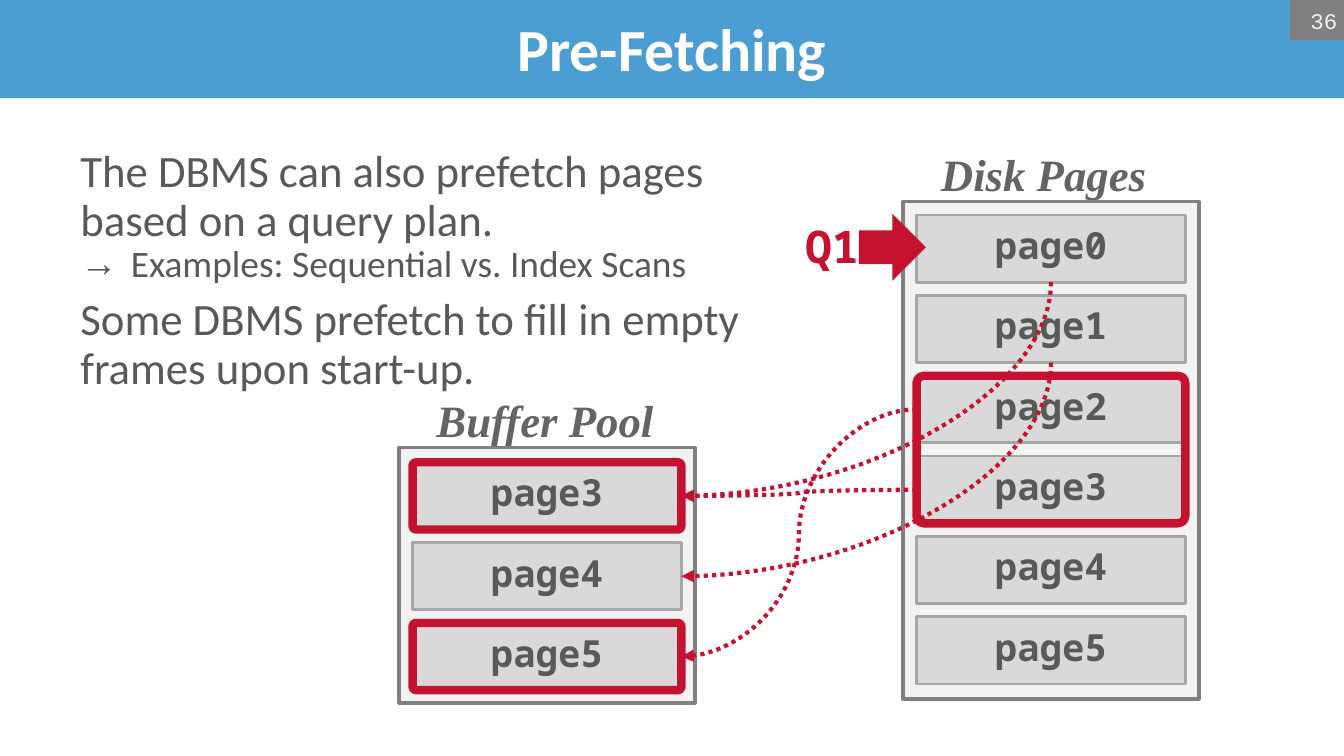
from dataclasses import dataclass

from lxml import etree
from pptx import Presentation
from pptx.dml.color import RGBColor
from pptx.enum.dml import MSO_LINE
from pptx.enum.shapes import MSO_CONNECTOR, MSO_SHAPE
from pptx.enum.text import MSO_ANCHOR, PP_ALIGN
from pptx.oxml.ns import qn
from pptx.util import Emu, Inches, Pt

RECTANGLE, ROUNDED = MSO_SHAPE.RECTANGLE, MSO_SHAPE.ROUNDED_RECTANGLE
RIGHT_ARROW, CURVE = MSO_SHAPE.RIGHT_ARROW, MSO_CONNECTOR.CURVE
LEFT, CENTER, RIGHT = PP_ALIGN.LEFT, PP_ALIGN.CENTER, PP_ALIGN.RIGHT
TOP, MIDDLE = MSO_ANCHOR.TOP, MSO_ANCHOR.MIDDLE
DOTTED = MSO_LINE.ROUND_DOT

COLORS = {
    "banner": "4C9DD2", "white": "FFFFFF", "text": "595959", "label": "646464",
    "frame": "F2F2F2", "frame_line": "808080", "page": "D9D9D9",
    "page_line": "A6A6A6", "red": "C41230",
}
SLIDE_WIDTH = Inches(10)
SLIDE_HEIGHT = Emu(SLIDE_WIDTH * 9 // 16)
CELL = SLIDE_WIDTH / 100  # square grid: 100 columns across the slide

# Page grid inside each frame, in cells
PAGE_WIDTH, PAGE_HEIGHT, PAGE_PITCH, FRAME_WIDTH = 20, 5, 5.98, 22

TITLE_FONT = {"name": "Calibri", "size": Pt(32), "bold": True}
BODY_FONT = {"name": "Calibri", "size": Pt(24)}
POINT_FONT = {"name": "Calibri", "size": Pt(20)}
LABEL_FONT = {"name": "Times New Roman", "size": Pt(24), "bold": True, "italic": True}
PAGE_FONT = {"name": "Noto Sans Mono", "size": Pt(20), "bold": True}
QUERY_FONT = {"name": "Noto Sans Mono", "size": Pt(24), "bold": True}
NUMBER_FONT = {"name": "Courier New", "size": Pt(12)}


@dataclass(frozen=True)
class Box:
    left: float
    top: float
    width: float
    height: float

    def lengths(self) -> list[Emu]:
        return [cells(n) for n in (self.left, self.top, self.width, self.height)]

    @property
    def left_middle(self) -> tuple[float, float]:
        return self.left, self.top + self.height / 2

    @property
    def right_middle(self) -> tuple[float, float]:
        return self.left + self.width, self.top + self.height / 2

    @property
    def bottom_middle(self) -> tuple[float, float]:
        return self.left + self.width / 2, self.top + self.height


@dataclass(frozen=True)
class PageFrame:
    title: str
    title_box: Box
    left: float
    top: float
    height: float
    first_page_top: float
    pages: tuple[str, ...]

    def page_box(self, row: int, rows: int = 1) -> Box:
        return Box(self.left + 1, self.first_page_top + row * PAGE_PITCH,
                   PAGE_WIDTH, PAGE_HEIGHT + (rows - 1) * PAGE_PITCH)


def cells(count: float) -> Emu:
    return Emu(round(count * CELL))


def color(name: str) -> RGBColor:
    return RGBColor.from_string(COLORS[name])


def set_format(target, values: dict) -> None:
    for name, value in values.items():
        setattr(target, name, value)


def write(shape, text: str, font: dict, ink: str, align=CENTER, anchor=MIDDLE,
          spacing: float = 1, wrap: bool = True, right_inset: float = 0) -> None:
    set_format(shape.text_frame, {
        "margin_left": 0, "margin_top": 0, "margin_bottom": 0,
        "margin_right": cells(right_inset), "word_wrap": wrap,
        "vertical_anchor": anchor})
    paragraph = shape.text_frame.paragraphs[0]
    set_format(paragraph, {"text": text, "alignment": align, "line_spacing": spacing})
    set_format(paragraph.font, font)
    paragraph.font.color.rgb = color(ink)


def add_block(slide, box: Box, fill: str | None = None, line: str | None = None,
              weight: float = 1.5, kind=RECTANGLE):
    shape = slide.shapes.add_shape(kind, *box.lengths())
    shape.shadow.inherit = False
    if fill:
        shape.fill.solid()
        shape.fill.fore_color.rgb = color(fill)
    else:
        shape.fill.background()
    if line:
        shape.line.color.rgb = color(line)
        shape.line.width = Pt(weight)
    else:
        shape.line.fill.background()
    return shape


def add_label(slide, box: Box, text: str, font: dict, ink: str, **layout) -> None:
    write(slide.shapes.add_textbox(*box.lengths()), text, font, ink, wrap=False, **layout)


def add_page_frame(slide, frame: PageFrame) -> None:
    add_label(slide, frame.title_box, frame.title, LABEL_FONT, "label",
              anchor=TOP, spacing=0.8)
    add_block(slide, Box(frame.left, frame.top, FRAME_WIDTH, frame.height),
              "frame", "frame_line", 2)
    for row, page in enumerate(frame.pages):
        shape = add_block(slide, frame.page_box(row), "page", "page_line")
        write(shape, page, PAGE_FONT, "text", spacing=0.8)


def add_highlight(slide, box: Box) -> None:
    shape = add_block(slide, box, None, "red", 4.5, ROUNDED)
    shape.adjustments[0] = 0.05


def add_fetch(slide, start: tuple, end: tuple, quarter_turn: bool = False) -> None:
    """Dotted curve; a quarter turn leaves downwards and arrives sideways."""
    (x1, y1), (x2, y2) = start, end
    if quarter_turn:
        middle_x, middle_y = (x1 + x2) / 2, (y1 + y2) / 2
        half_width, half_height = (y2 - y1) / 2, (x1 - x2) / 2
        x1, x2 = middle_x - half_width, middle_x + half_width
        y1, y2 = middle_y - half_height, middle_y + half_height
    connector = slide.shapes.add_connector(CURVE, *map(cells, (x1, y1, x2, y2)))
    set_format(connector.line, {"width": Pt(2.25), "dash_style": DOTTED})
    connector.line.color.rgb = color("red")
    properties = connector._element.spPr
    if quarter_turn:
        properties.find(qn("a:xfrm")).set("rot", "5400000")
        properties.find(qn("a:prstGeom")).set("prst", "curvedConnector2")
    etree.SubElement(properties.find(qn("a:ln")), qn("a:tailEnd"), type="triangle")
    etree.SubElement(properties, qn("a:effectLst"))


def add_body(slide, box: Box, lines: list[tuple[str, bool]]) -> None:
    frame = slide.shapes.add_textbox(*box.lengths()).text_frame
    frame.word_wrap = True
    for index, (text, is_point) in enumerate(lines):
        paragraph = frame.paragraphs[0] if index == 0 else frame.add_paragraph()
        space = Pt(6) if index and not is_point else Pt(0)
        set_format(paragraph, {"text": text, "line_spacing": 0.9, "space_before": space})
        if is_point:
            properties = paragraph._p.get_or_add_pPr()
            indent = cells(3.75)
            properties.set("marL", str(indent))
            properties.set("indent", str(-indent))
            etree.SubElement(properties, qn("a:buFont"), typeface="Times New Roman")
            etree.SubElement(properties, qn("a:buChar"), char="→")
        set_format(paragraph.font, POINT_FONT if is_point else BODY_FONT)
        paragraph.font.color.rgb = color("text")


def main() -> None:
    presentation = Presentation()
    set_format(presentation, {"slide_width": SLIDE_WIDTH, "slide_height": SLIDE_HEIGHT})
    slide = presentation.slides.add_slide(presentation.slide_layouts[6])

    # Title and text
    write(add_block(slide, Box(0, -0.2, 100, 7.5), "banner"),
          "Pre-Fetching", TITLE_FONT, "white")
    add_body(slide, Box(5, 10.6, 52, 40), [
        ("The DBMS can also prefetch pages based on a query plan.", False),
        ("Examples: Sequential vs. Index Scans", True),
        ("Some DBMS prefetch to fill in empty frames upon start-up.", False)])

    # Page frames
    pool = PageFrame("Buffer Pool", Box(32.4, 30, 16.3, 3.3), 29.7, 33.3, 19, 34.4,
                     ("page3", "page4", "page5"))
    disk = PageFrame("Disk Pages", Box(69.5, 11.7, 16.3, 3.3), 67.2, 15, 37, 16,
                     tuple(f"page{number}" for number in range(6)))
    for frame in (pool, disk):
        add_page_frame(slide, frame)

    # Query cursor
    add_block(slide, Box(63.9, 15.9, 5, 5), "red", kind=RIGHT_ARROW)
    add_label(slide, Box(59.9, 16.3, 4, 4), "Q1", QUERY_FONT, "red", align=LEFT)

    # Prefetched pages
    for box in (disk.page_box(2, rows=2), pool.page_box(0), pool.page_box(2)):
        add_highlight(slide, box)

    # Fetches from disk into the pool
    for row in (0, 1):
        add_fetch(slide, disk.page_box(row).bottom_middle,
                  pool.page_box(row).right_middle, quarter_turn=True)
    for disk_row, pool_row in ((2, 2), (3, 0)):
        add_fetch(slide, disk.page_box(disk_row).left_middle,
                  pool.page_box(pool_row).right_middle)

    # Slide number
    write(add_block(slide, Box(96, 0, 4, 3), "frame_line"), "36", NUMBER_FONT,
          "frame", align=RIGHT, right_inset=0.5)

    presentation.save("out.pptx")


if __name__ == "__main__":
    main()
